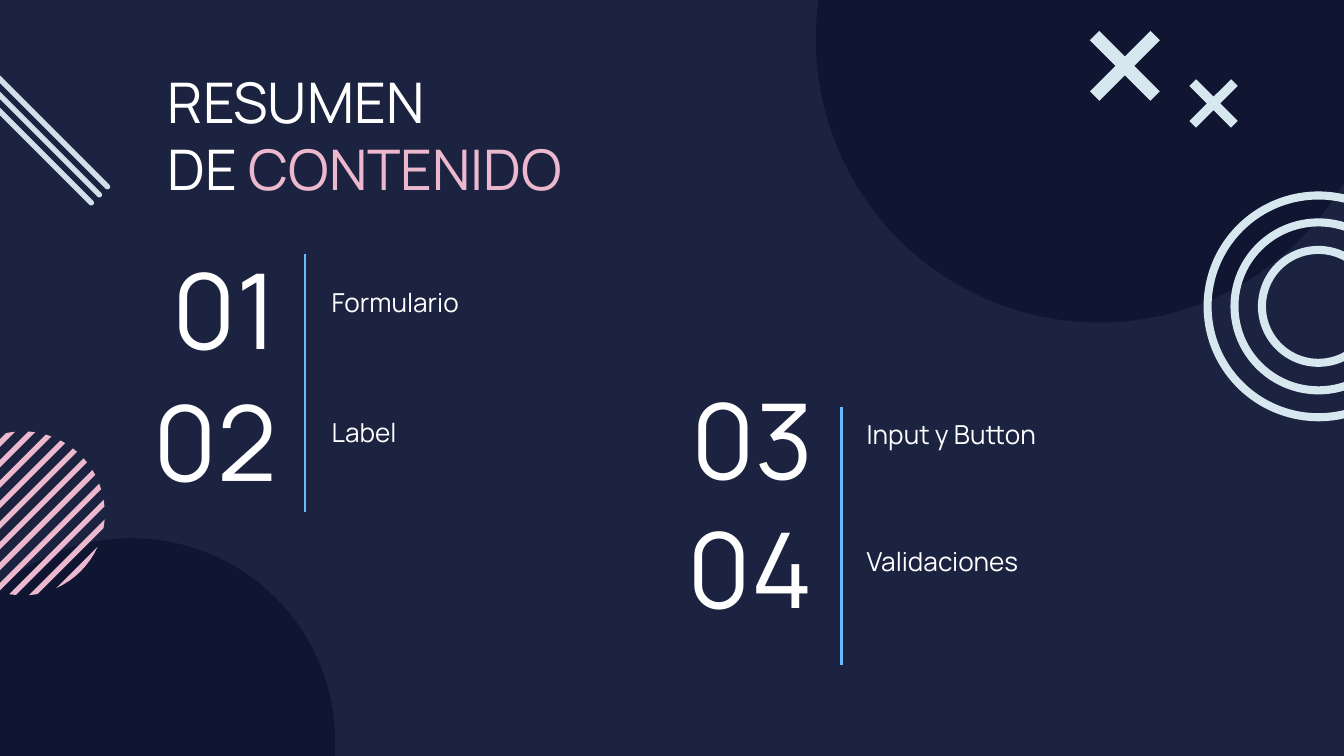
"""Builds the content summary slide with its geometric decoration."""
import math

from lxml import etree
from pptx import Presentation
from pptx import util as u
from pptx.dml.color import RGBColor
from pptx.enum import shapes, text
from pptx.oxml import ns

COLORS = {
    "background": "1C2340",
    "disc": "101632",
    "pink": "ECB8CE",
    "ice": "D7E7EF",
    "stripe": "D2DFE9",
    "rule": "67BBFF",
    "white": "FFFFFF",
}
FONT = "Manrope"


def rgb(name):
    return RGBColor.from_string(COLORS[name])


def paint(figure, color):
    figure.shadow.inherit = False
    figure.fill.solid()
    figure.fill.fore_color.rgb = rgb(color)
    figure.line.fill.background()


def add_preset(slide, kind, center, width, height, color):
    x, y = center
    figure = slide.shapes.add_shape(
        kind, u.Inches(x - width / 2), u.Inches(y - height / 2), u.Inches(width), u.Inches(height)
    )
    paint(figure, color)
    return figure


def add_polygon(slide, points, color):
    corners = [(u.Inches(x), u.Inches(y)) for x, y in points]
    builder = slide.shapes.build_freeform(*corners[0], scale=1.0)
    builder.add_line_segments(corners[1:], close=True)
    paint(builder.convert_to_shape(), color)


def add_cross(slide, center, reach, arm):
    x, y = center
    quarter = [(arm - reach, -reach), (-reach, arm - reach), (-arm, 0)]
    points = []
    for _ in range(4):
        points += [(x + dx, y + dy) for dx, dy in quarter]
        quarter = [(dy, -dx) for dx, dy in quarter]
    add_polygon(slide, points, "ice")


def add_striped_disc(slide, center, radius):
    x, y = center
    steps = 4
    for stripe in range(11):
        near = -0.51 + stripe * 0.108
        far = min(near + 0.04, radius)
        start, end = math.acos(near / radius), math.acos(far / radius)
        arc = [start + (end - start) * i / steps for i in range(steps + 1)]
        angles = [math.pi / 4 + a for a in arc] + [math.pi / 4 - a for a in reversed(arc)]
        points = [(x + radius * math.cos(a), y + radius * math.sin(a)) for a in angles]
        add_polygon(slide, points, "pink")


def add_rings(slide, center):
    for diameter in (1.71, 1.31, 0.9):
        ring = add_preset(slide, shapes.MSO_SHAPE.DONUT, center, diameter, diameter, "ice")
        ring.adjustments[0] = 0.06 / diameter


def add_slanted_bars(slide, x, y):
    for i in range(3):
        center = (x - 0.06 * i, y + 0.06 * i)
        bar = add_preset(slide, shapes.MSO_SHAPE.ROUNDED_RECTANGLE, center, 1.65, 0.04, "stripe")
        bar.adjustments[0] = 0.5
        bar.rotation = 45


def add_text(slide, box, lines, size, align=text.PP_ALIGN.LEFT, anchor=text.MSO_ANCHOR.TOP):
    frame = slide.shapes.add_textbox(*map(u.Inches, box)).text_frame
    frame.word_wrap = True
    frame.vertical_anchor = anchor
    frame.margin_left = frame.margin_right = u.Inches(0.1)
    frame.margin_top = frame.margin_bottom = u.Inches(0.1)
    for i, line in enumerate(lines):
        paragraph = frame.add_paragraph() if i else frame.paragraphs[0]
        paragraph.alignment = align
        for words, color in line:
            run = paragraph.add_run()
            run.text = words
            run.font.name = FONT
            run.font.size = u.Pt(size)
            run.font.color.rgb = rgb(color)


def add_entry(slide, number, label, number_at, label_at):
    add_text(slide, (*number_at, 1.45, 0.26), [[(number, "white")]], 56,
             text.PP_ALIGN.RIGHT, text.MSO_ANCHOR.MIDDLE)
    add_text(slide, (*label_at, 2.57, 0.44), [[(label, "white")]], 14)


def add_rule(slide, x, top):
    rule = slide.shapes.add_connector(
        shapes.MSO_CONNECTOR.STRAIGHT, u.Inches(x), u.Inches(top), u.Inches(x), u.Inches(top + 1.92)
    )
    rule.line.color.rgb = rgb("rule")
    rule.line.width = u.Pt(1.5)
    etree.SubElement(rule._element.spPr, ns.qn("a:effectLst"))


def main():
    deck = Presentation()
    deck.slide_width = u.Inches(10)
    deck.slide_height = deck.slide_width * 9 // 16
    slide = deck.slides.add_slide(deck.slide_layouts[6])
    slide.background.fill.solid()
    slide.background.fill.fore_color.rgb = rgb("background")

    for center, diameter in (((0.98, 5.52), 3.03), ((8.18, 0.29), 4.22)):
        add_preset(slide, shapes.MSO_SHAPE.OVAL, center, diameter, diameter, "disc")
    add_striped_disc(slide, (0.17, 3.82), 0.61)
    add_rings(slide, (9.81, 2.28))
    add_slanted_bars(slide, 0.23, 0.82)
    add_cross(slide, (9.03, 0.77), 0.18, 0.05)
    add_cross(slide, (8.37, 0.49), 0.26, 0.07)

    title = [[("RESUMEN", "white")], [("DE ", "white"), ("CONTENIDO", "pink")]]
    add_text(slide, (1.15, 0.4, 4.05, 0.98), title, 30)
    entries = [
        ("01", "Formulario", (0.71, 2.16), (2.37, 2.03)),
        ("02", "Label", (0.71, 3.14), (2.37, 3)),
        ("03", "Input y Button", (4.7, 3.13), (6.35, 3.01)),
        ("04", "Validaciones", (4.7, 4.09), (6.35, 3.96)),
    ]
    for entry in entries:
        add_entry(slide, *entry)
    add_rule(slide, 2.27, 1.89)
    add_rule(slide, 6.26, 3.03)
    deck.save("out.pptx")


if __name__ == "__main__":
    main()
